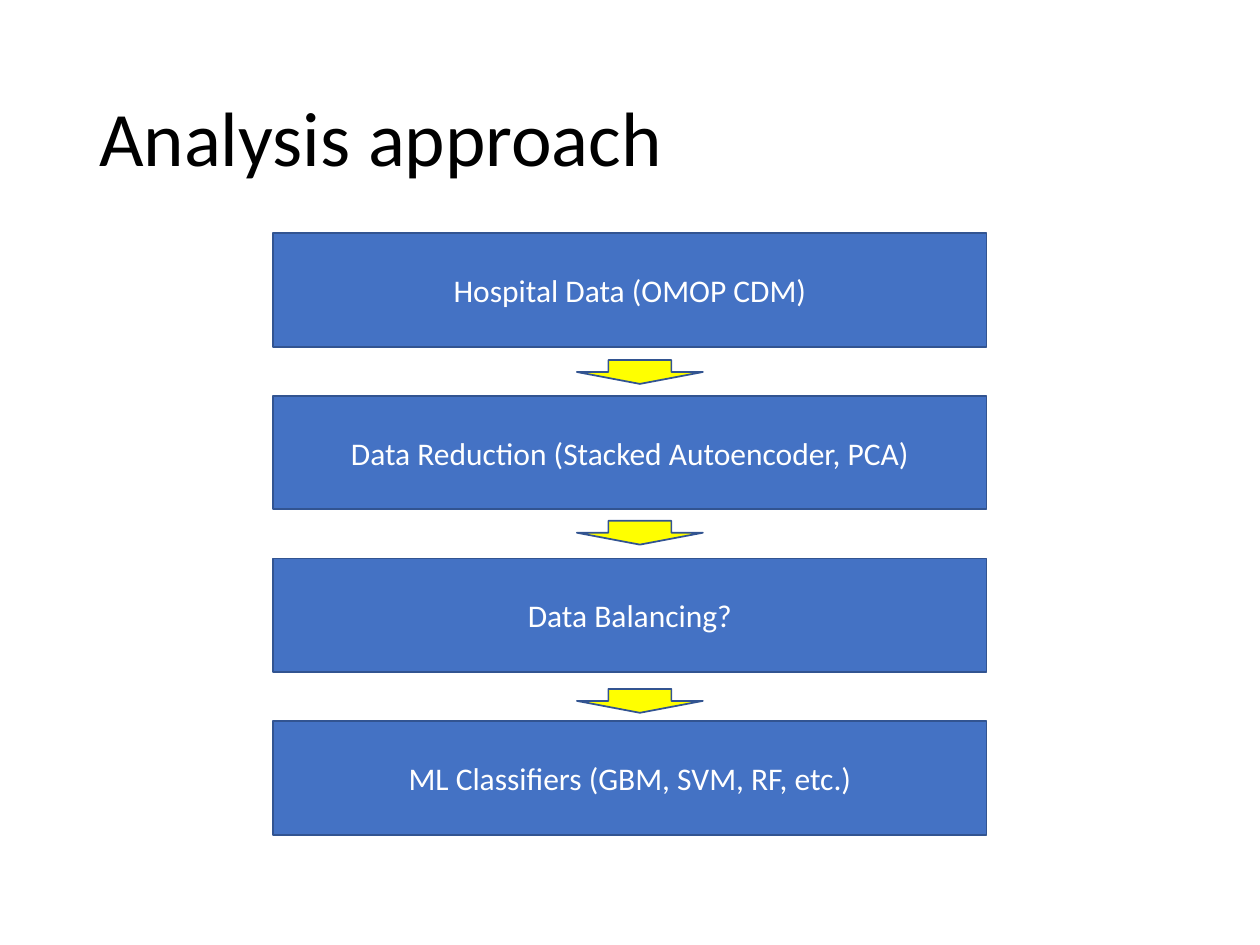
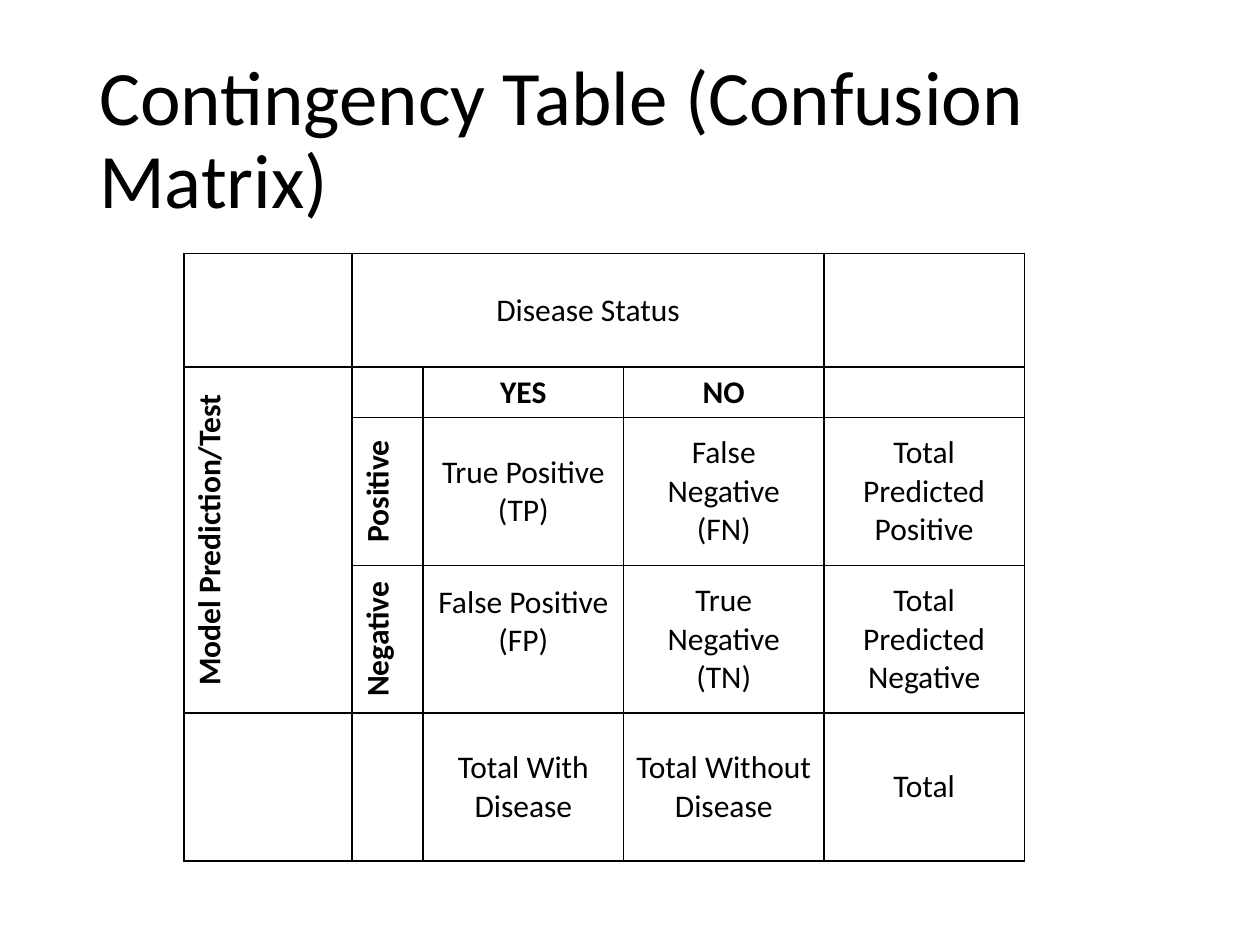
from lxml.etree import SubElement
from pptx import Presentation
from pptx.dml.color import RGBColor
from pptx.enum.shapes import MSO_SHAPE
from pptx.enum.text import MSO_ANCHOR, PP_ALIGN
from pptx.oxml import parse_xml
from pptx.oxml.ns import nsdecls
from pptx.util import Cm, Pt

BLACK, WHITE = "000000", "FFFFFF"
BLUE, NAVY, YELLOW = "4472C4", "325491", "FFFF00"


def color(hex_value):
    return RGBColor.from_string(hex_value)


def write_text(frame, text, size=18, ink=BLACK, bold=False,
               align=PP_ALIGN.CENTER, spacing=None):
    frame.word_wrap = True
    for index, line in enumerate(text.split("\n")):
        paragraph = frame.paragraphs[0] if index == 0 else frame.add_paragraph()
        paragraph.alignment = align
        if spacing:
            paragraph.line_spacing = spacing
        run = paragraph.add_run()
        run.text = line
        run.font.name = "Calibri"
        run.font.size = Pt(size)
        run.font.bold = bold
        run.font.color.rgb = color(ink)


class Deck:
    def __init__(self):
        self.presentation = Presentation()
        self.presentation.slide_width = Cm(25.4)
        self.presentation.slide_height = Cm(19.05)
        self.slide = None

    def new_slide(self, title):
        self.slide = self.presentation.slides.add_slide(
            self.presentation.slide_layouts[6])
        heading = self.slide.shapes.add_textbox(
            Cm(1.75), Cm(1.02), Cm(21.9), Cm(3.68)).text_frame
        heading.vertical_anchor = MSO_ANCHOR.MIDDLE
        write_text(heading, title, size=44, align=PP_ALIGN.LEFT, spacing=0.9)

    def block(self, preset, left, top, width, height, fill, text=""):
        block = self.slide.shapes.add_shape(
            preset, Cm(left), Cm(top), Cm(width), Cm(height))
        block.shadow.inherit = False
        block.fill.solid()
        block.fill.fore_color.rgb = color(fill)
        block.line.color.rgb = color(NAVY)
        block.line.width = Pt(1)
        if text:
            block.text_frame.vertical_anchor = MSO_ANCHOR.MIDDLE
            write_text(block.text_frame, text, ink=WHITE)

    def grid(self, left, top, widths, heights):
        table = self.slide.shapes.add_table(
            len(heights), len(widths), Cm(left), Cm(top),
            Cm(sum(widths)), Cm(sum(heights))).table
        table.first_row = table.horz_banding = False
        for column, width in zip(table.columns, widths):
            column.width = Cm(width)
        for row, height in zip(table.rows, heights):
            row.height = Cm(height)
        for cell in table.iter_cells():
            cell.fill.background()
            self.outline(cell)
        return table

    def outline(self, cell):
        properties = cell._tc.get_or_add_tcPr()
        for position, side in enumerate("LRTB"):
            border = parse_xml(f'<a:ln{side} {nsdecls("a")} w="{Pt(1)}"/>')
            namespace = border.nsmap["a"]
            solid = SubElement(border, f"{{{namespace}}}solidFill")
            SubElement(solid, f"{{{namespace}}}srgbClr", val=BLACK)
            properties.insert(position, border)

    def fill_cell(self, cell, text, anchor=MSO_ANCHOR.MIDDLE, bold=False,
                  upward=False):
        cell.vertical_anchor = anchor
        if upward:
            cell._tc.get_or_add_tcPr().set("vert", "vert270")
        write_text(cell.text_frame, text, bold=bold)


def analysis_approach(deck):
    deck.new_slide("Analysis approach")
    steps = ["Hospital Data (OMOP CDM)",
             "Data Reduction (Stacked Autoencoder, PCA)",
             "Data Balancing?",
             "ML Classifiers (GBM, SVM, RF, etc.)"]
    for index, step in enumerate(steps):
        deck.block(MSO_SHAPE.RECTANGLE, 5.51, 4.7 + 3.28 * index,
                   14.38, 2.29, BLUE, step)
    for arrow_top in (7.26, 10.5, 13.89):
        deck.block(MSO_SHAPE.DOWN_ARROW, 11.63, arrow_top, 2.54, 0.48, YELLOW)


def contingency_table(deck):
    deck.new_slide("Contingency Table (Confusion Matrix)")
    matrix = deck.grid(3.71, 5.11, [3.39, 1.43] + [4.04] * 3,
                       [2.29, 0.94] + [2.98] * 3)
    matrix.cell(0, 1).merge(matrix.cell(0, 3))
    matrix.cell(1, 0).merge(matrix.cell(3, 0))
    deck.fill_cell(matrix.cell(0, 1), "Disease Status")
    deck.fill_cell(matrix.cell(1, 0), "Model Prediction/Test",
                   bold=True, upward=True)
    for column, status in enumerate(("YES", "NO"), 2):
        deck.fill_cell(matrix.cell(1, column), status,
                       MSO_ANCHOR.BOTTOM, bold=True)
    for row, prediction in enumerate(("Positive", "Negative"), 2):
        deck.fill_cell(matrix.cell(row, 1), prediction,
                       MSO_ANCHOR.BOTTOM, bold=True, upward=True)
    outcomes = [
        ("True Positive (TP)", "False Negative\n(FN)",
         "Total Predicted Positive"),
        ("False Positive (FP)", "True Negative\n(TN)",
         "Total Predicted Negative"),
        ("Total With Disease", "Total Without Disease", "Total"),
    ]
    for row, counts in enumerate(outcomes, 2):
        for column, count in enumerate(counts, 2):
            deck.fill_cell(matrix.cell(row, column), count)
    false_positive = matrix.cell(3, 2)
    false_positive.vertical_anchor = MSO_ANCHOR.TOP
    false_positive.margin_top = Cm(0.36)


def main():
    deck = Deck()
    analysis_approach(deck)
    contingency_table(deck)
    deck.presentation.save("out.pptx")


if __name__ == "__main__":
    main()
